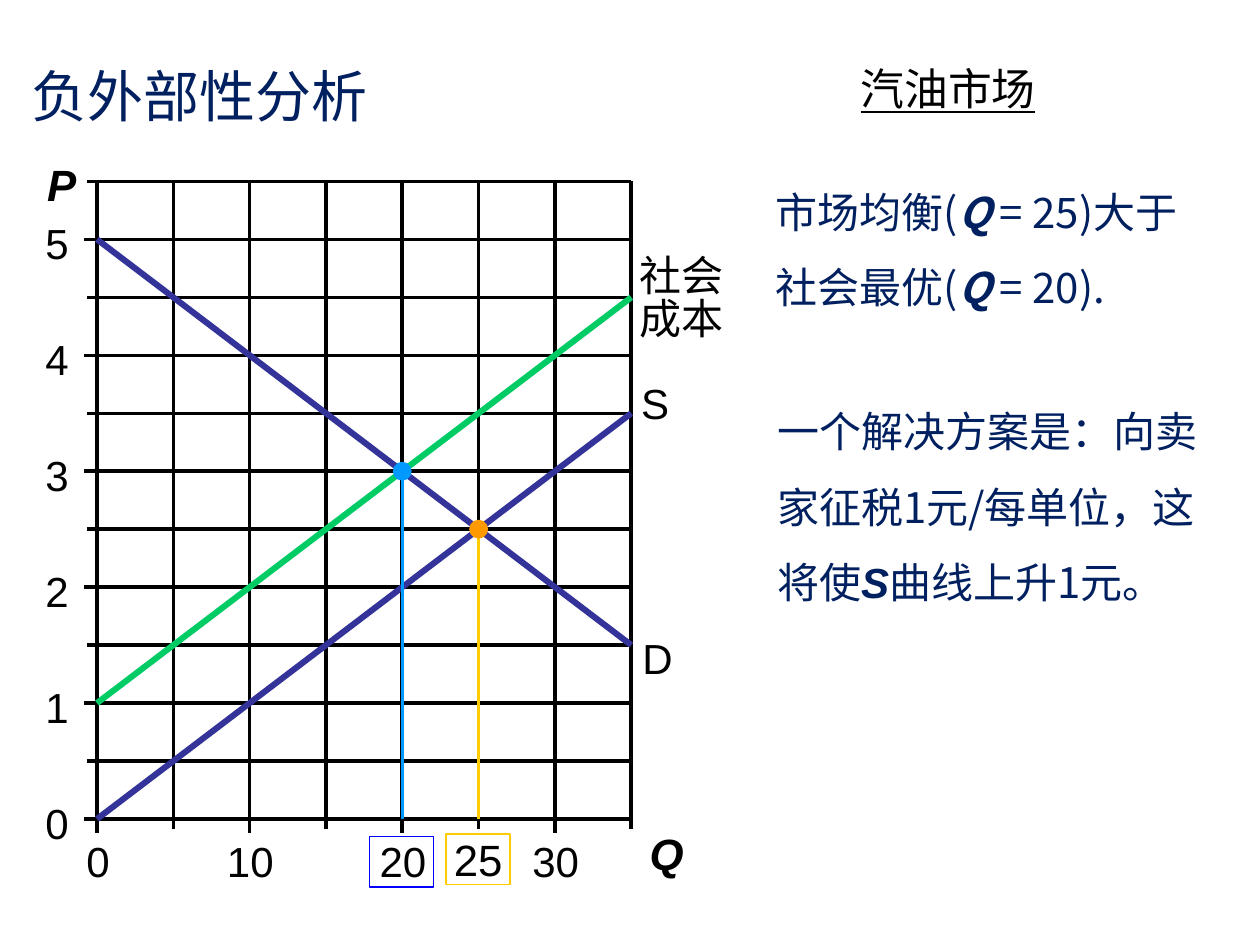
from dataclasses import dataclass, field
from typing import Optional

from lxml.etree import SubElement
from pptx import Presentation
from pptx.dml.color import RGBColor
from pptx.enum.shapes import MSO_CONNECTOR, MSO_SHAPE
from pptx.enum.text import MSO_ANCHOR, MSO_AUTO_SIZE, PP_ALIGN
from pptx.oxml.ns import qn
from pptx.util import Inches, Pt

COLORS = {
    "black": "000000", "white": "FFFFFF", "navy": "002060",
    "curve": "333399", "social": "00CC66",
    "optimum": "0099FF", "optimum_box": "0000FF",
    "market": "FF9900", "market_line": "FFCC00",
}
LATIN, CJK = "Arial", "Noto Sans CJK SC"
BOLD_ITALIC = {"bold": True, "italic": True}

# Plot area: quantity 0-35 across, price 0-5.5 up
LEFT, BOTTOM, WIDTH = 0.77, 6.5, 4.24
Q_MAX, P_MAX, PRICE_UNIT = 35, 5.5, 0.92
RIGHT, TOP = LEFT + WIDTH, BOTTOM - P_MAX * PRICE_UNIT
DOT = 0.15


@dataclass
class Label:
    box: tuple[float, float, float, float]
    runs: list[tuple[str, dict]]
    size: float = 24
    font: str = LATIN
    color: str = "black"
    align: Optional[PP_ALIGN] = None
    spacing: Optional[float] = None
    frame: dict = field(default_factory=dict)


@dataclass
class Curve:
    start_price: float
    end_price: float
    color: str


@dataclass
class Equilibrium:
    quantity: float
    price: float
    dot: str
    line: str
    box: str
    box_top: float


NO_INSET = dict.fromkeys(
    ("margin_left", "margin_top", "margin_right", "margin_bottom"), 0)
TICK_FRAME = {**NO_INSET, "word_wrap": False}

CURVES = [Curve(1, 4.5, "social"), Curve(0, 3.5, "curve"), Curve(5, 1.5, "curve")]

EQUILIBRIA = [
    Equilibrium(20, 3, "optimum", "optimum", "optimum_box", 6.64),
    Equilibrium(25, 2.5, "market", "market_line", "market_line", 6.62),
]

LABELS = [
    Label((0.15, 0.5, 5.43, 0.51), [("负外部性分析", {})], 32, CJK, "navy",
          frame={"vertical_anchor": MSO_ANCHOR.MIDDLE,
                 "auto_size": MSO_AUTO_SIZE.NONE}),
    Label((3.98, 6.51, 1.64, 0.52), [("Q ", BOLD_ITALIC)], 25, align=PP_ALIGN.RIGHT),
    Label((0.23, 1.2, 0.46, 0.52), [("P ", BOLD_ITALIC)], 25, align=PP_ALIGN.RIGHT),
    Label((5.39, 0.44, 4.27, 0.7), [("汽油市场", {"underline": True})], 25,
          align=PP_ALIGN.CENTER, frame={"auto_size": MSO_AUTO_SIZE.NONE}),
    Label((5, 4.97, 0.45, 0.5), [("D", {})]),
    Label((4.99, 2.95, 0.43, 0.5), [("S", {})]),
    Label((4.98, 1.99, 0.94, 0.79), [("社会成本", {})], spacing=0.85),
    Label((3.48, 6.61, 0.63, 0.42), [("25", {})], 25, align=PP_ALIGN.CENTER,
          frame=NO_INSET),
    Label((6.06, 1.23, 3.57, 1.73),
          [("市场均衡(", {}), ("Q", BOLD_ITALIC), (" = 25)大于社会最优(", {}),
           ("Q", BOLD_ITALIC), (" = 20).", {})],
          font=CJK, color="navy", spacing=1.5),
    Label((6.07, 2.97, 3.57, 2.34),
          [("一个解决方案是：向卖家征税1元/每单位，这将使", {}),
           ("S", {**BOLD_ITALIC, "name": LATIN}), ("曲线上升1元。", {})],
          font=CJK, color="navy", spacing=1.5),
]


def rgb(name: str) -> RGBColor:
    return RGBColor.from_string(COLORS[name])


def x_of(quantity: float) -> float:
    return LEFT + quantity / Q_MAX * WIDTH


def y_of(price: float) -> float:
    return BOTTOM - price * PRICE_UNIT


def add_line(s, x1: float, y1: float, x2: float, y2: float,
             color: str = "black", width: float = 2) -> None:
    line = s.shapes.add_connector(
        MSO_CONNECTOR.STRAIGHT, *(Inches(v) for v in (x1, y1, x2, y2)))
    line.line.color.rgb = rgb(color)
    line.line.width = Pt(width)
    SubElement(line._element.spPr, qn("a:effectLst"))


def add_shape(s, kind: MSO_SHAPE, box: tuple, fill: Optional[str] = None,
              line: Optional[str] = None, width: float = 0.75) -> None:
    sp = s.shapes.add_shape(kind, *(Inches(v) for v in box))
    sp.shadow.inherit = False
    if fill:
        sp.fill.solid()
        sp.fill.fore_color.rgb = rgb(fill)
    else:
        sp.fill.background()
    if line:
        sp.line.color.rgb = rgb(line)
        sp.line.width = Pt(width)
    else:
        sp.line.fill.background()


def add_label(s, label: Label) -> None:
    tf = s.shapes.add_textbox(*(Inches(v) for v in label.box)).text_frame
    frame = {"word_wrap": True, "auto_size": MSO_AUTO_SIZE.SHAPE_TO_FIT_TEXT,
             **label.frame}
    for name, value in frame.items():
        setattr(tf, name, value)
    p = tf.paragraphs[0]
    p.alignment = label.align
    p.line_spacing = label.spacing
    for text, extra in label.runs:
        r = p.add_run()
        r.text = text
        for name, value in {"size": Pt(label.size), "name": label.font, **extra}.items():
            setattr(r.font, name, value)
        r.font.color.rgb = rgb(label.color)
        SubElement(r._r.get_or_add_rPr(), qn("a:ea"), typeface=CJK)


def add_axes(s) -> None:
    """Draw the grid, frame, axes, ticks and axis numbers."""
    prices = [i / 2 for i in range(12)]
    quantities = range(0, Q_MAX + 1, 5)
    for price in prices[1:]:
        add_line(s, LEFT, y_of(price), RIGHT, y_of(price), width=0)
    for quantity in quantities[1:]:
        add_line(s, x_of(quantity), TOP, x_of(quantity), BOTTOM, width=0)
    add_shape(s, MSO_SHAPE.RECTANGLE, (LEFT, TOP, WIDTH, BOTTOM - TOP),
              line="black", width=1)
    add_line(s, LEFT, TOP, LEFT, BOTTOM)
    add_line(s, LEFT, BOTTOM, RIGHT, BOTTOM)

    for price in prices:
        y, major = y_of(price), price % 1 == 0
        add_line(s, LEFT - (0.1 if major else 0.08), y, LEFT, y)
        if major:
            add_label(s, Label((0.36, y - 0.17, 0.19, 0.4),
                               [(f"{price:.0f}", {})], frame=TICK_FRAME))
    for quantity in quantities:
        x, major = x_of(quantity), quantity % 10 == 0
        add_line(s, x, BOTTOM + (0.11 if major else 0.08), x, BOTTOM)
        if major:
            text = str(quantity)
            width = 0.19 * len(text)
            add_label(s, Label((x - width / 2 + 0.01, 6.63, width, 0.4),
                               [(text, {})], frame=TICK_FRAME))


def add_equilibrium(s, eq: Equilibrium) -> None:
    """Mark a point with a dot, a drop line and a box round its quantity."""
    x, y = x_of(eq.quantity), y_of(eq.price)
    add_line(s, x, y, x, BOTTOM, eq.line, 1.5)
    add_shape(s, MSO_SHAPE.OVAL, (x - DOT / 2, y - DOT / 2, DOT, DOT), fill=eq.dot)
    add_shape(s, MSO_SHAPE.RECTANGLE, (x - 0.26, eq.box_top, 0.51, 0.4), line=eq.box)


def main() -> None:
    prs = Presentation()
    prs.slide_width, prs.slide_height = Inches(10), Inches(7.5)
    s = prs.slides.add_slide(prs.slide_layouts[6])
    s.background.fill.solid()
    s.background.fill.fore_color.rgb = rgb("white")
    add_axes(s)
    for curve in CURVES:
        add_line(s, LEFT, y_of(curve.start_price), RIGHT, y_of(curve.end_price),
                 curve.color, 3.5)
    for eq in EQUILIBRIA:
        add_equilibrium(s, eq)
    for label in LABELS:
        add_label(s, label)
    prs.save("out.pptx")


if __name__ == "__main__":
    main()
